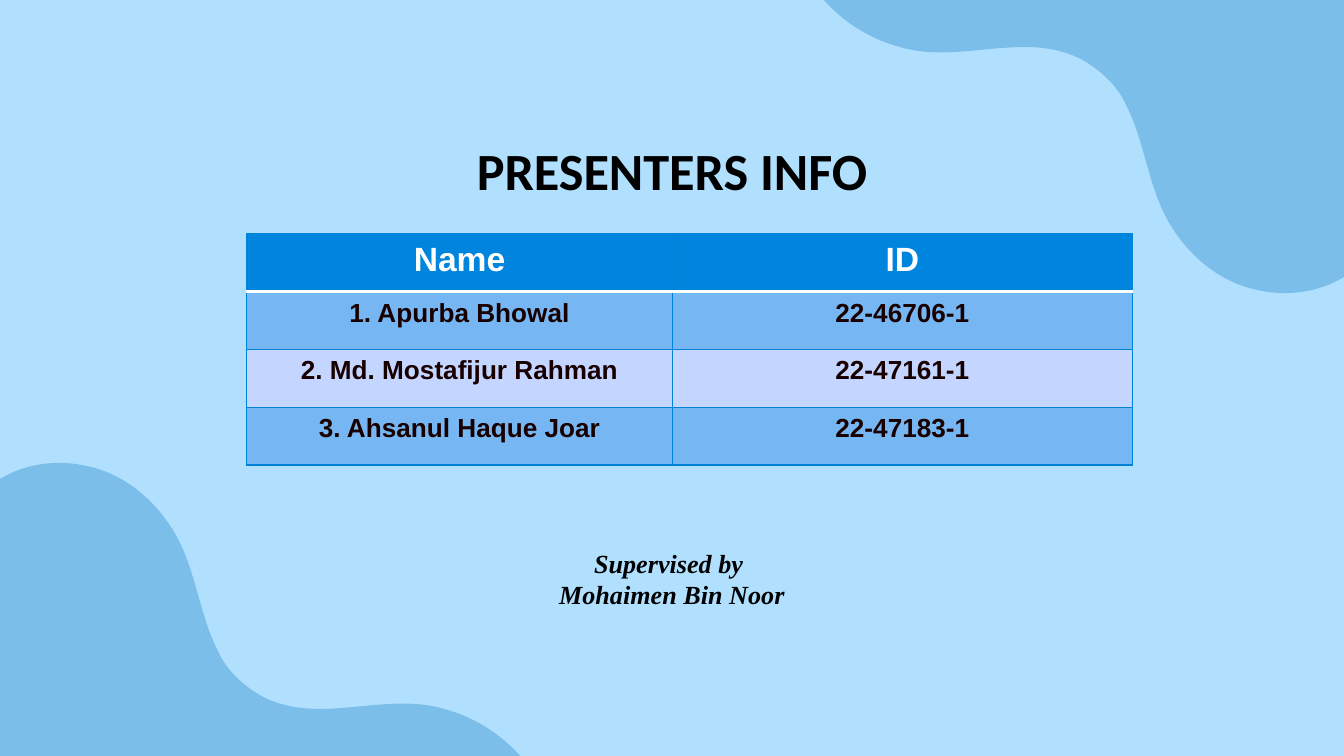
import pptx
import pptx.dml.color
import pptx.enum.text
import pptx.oxml.ns
import pptx.util
from lxml import etree

Cm = pptx.util.Cm
qn = pptx.oxml.ns.qn
SLIDE_WIDTH, SLIDE_HEIGHT = 25.4, 14.29
BLACK, WHITE = "000000", "FFFFFF"
BORDER = "0082D9"

# Wave outline in cm: a curve has two control points and an end point,
# a straight segment has its end point only.
WAVE_WIDTH, WAVE_HEIGHT = 13, 5.54
WAVE_START = (4.29, 0)
WAVE_SEGMENTS = [
    [(3.81, 0), (3.33, 0.15), (2.95, 0.46)],
    [(2.41, 0.86), (2.08, 1.45), (1.7, 1.98)],
    [(1.3, 2.57), (0.84, 3.07), (0.18, 3.43)],
    [(0.13, 3.45), (0.05, 3.48), (0, 3.51)],
    [(0, WAVE_HEIGHT)],
    [(WAVE_WIDTH, WAVE_HEIGHT)],
    [(12.62, 5.11), (12.12, 4.8), (11.56, 4.65)],
    [(11.3, 4.57), (11.02, 4.55), (10.77, 4.55)],
    [(10.26, 4.55), (9.75, 4.65), (9.22, 4.65)],
    [(9.22, 4.65), (9.2, 4.65), (9.17, 4.65)],
    [(8.79, 4.65), (8.38, 4.57), (8.05, 4.37)],
    [(7.72, 4.17), (7.44, 3.89), (7.29, 3.56)],
    [(6.93, 2.84), (6.88, 2.06), (6.5, 1.37)],
    [(6.15, 0.76), (5.59, 0.25), (4.9, 0.08)],
    [(4.7, 0.03), (4.5, 0), WAVE_START],
]

ROWS = [
    ("Name", "ID"),
    ("1. Apurba Bhowal", "22-46706-1"),
    ("2. Md. Mostafijur Rahman", "22-47161-1"),
    ("3. Ahsanul Haque Joar", "22-47183-1"),
]


def colour(value):
    return pptx.dml.color.RGBColor.from_string(value)


def paint(fill, value):
    fill.solid()
    fill.fore_color.rgb = colour(value)


def write(text_frame, text, font_name, size, text_colour, italic=False):
    """Write one bold, centred paragraph."""
    text_frame.word_wrap = True
    paragraph = text_frame.paragraphs[0]
    paragraph.text = text
    paragraph.alignment = pptx.enum.text.PP_ALIGN.CENTER
    font = paragraph.font
    font.name, font.size = font_name, pptx.util.Pt(size)
    font.bold, font.italic = True, italic
    font.color.rgb = colour(text_colour)


def place(shape, left, top, width, height):
    shape.left, shape.top = Cm(left), Cm(top)
    shape.width, shape.height = Cm(width), Cm(height)


def bend(shape, segments):
    """Turn the straight segments that have control points into curves."""
    lines = list(shape._element.iter(qn("a:lnTo")))
    for line, points in zip(lines, segments):
        if len(points) == 3:
            curve = etree.Element(qn("a:cubicBezTo"))
            for x, y in points:
                etree.SubElement(curve, qn("a:pt"), x=str(Cm(x)), y=str(Cm(y)))
            line.getparent().replace(line, curve)


def add_wave(slide, left, top, rotation=0):
    builder = slide.shapes.build_freeform(*map(Cm, WAVE_START))
    builder.add_line_segments(
        [tuple(map(Cm, points[-1])) for points in WAVE_SEGMENTS])
    wave = builder.convert_to_shape(Cm(left), Cm(top))
    bend(wave, WAVE_SEGMENTS)
    wave.rotation = rotation
    wave.shadow.inherit = False
    wave.line.fill.background()
    paint(wave.fill, "7CBEEA")


def add_border(cell, side, value, width):
    properties = cell._tc.get_or_add_tcPr()
    line = etree.SubElement(
        properties, qn(f"a:ln{side}"), w=str(pptx.util.Pt(width)))
    fill = etree.SubElement(line, qn("a:solidFill"))
    etree.SubElement(fill, qn("a:srgbClr"), val=value)


def add_presenters(slide, left, top, width, height):
    frame = slide.shapes.add_table(
        len(ROWS), 2, Cm(left), Cm(top), Cm(width), Cm(height))
    table = frame.table
    name_width = 0.481 * width
    table.columns[0].width = Cm(name_width)
    table.columns[1].width = Cm(width - name_width)
    for row, texts in enumerate(ROWS):
        for column, text in enumerate(texts):
            cell = table.cell(row, column)
            header_edge = {0: "B", 1: "T"}.get(row)
            for side in "LRTB":
                if side == header_edge:
                    add_border(cell, side, WHITE, 2)
                else:
                    add_border(cell, side, BORDER, 0.75)
            if row == 0:
                paint(cell.fill, "0085DE")
                write(cell.text_frame, text, "Arial", 18, WHITE)
            else:
                paint(cell.fill, "76B6F2" if row % 2 else "C4D6FF")
                write(cell.text_frame, text, "Arial", 14, "180000")


def add_title(slide, left, top, width, height):
    title = slide.shapes.title
    place(title, left, top, width, height)
    write(title.text_frame, "PRESENTERS INFO", "Calibri", 28, BLACK)
    title.text_frame.vertical_anchor = pptx.enum.text.MSO_ANCHOR.TOP
    title.text_frame.auto_size = pptx.enum.text.MSO_AUTO_SIZE.SHAPE_TO_FIT_TEXT


def add_supervisor(slide, left, top, width, height):
    box = slide.shapes.add_textbox(Cm(left), Cm(top), Cm(width), Cm(height))
    write(box.text_frame, "Supervised by \vMohaimen Bin Noor",
          "Times New Roman", 14, BLACK, italic=True)
    box.text_frame.auto_size = pptx.enum.text.MSO_AUTO_SIZE.SHAPE_TO_FIT_TEXT


def main():
    presentation = pptx.Presentation()
    presentation.slide_width = Cm(SLIDE_WIDTH)
    presentation.slide_height = Cm(SLIDE_HEIGHT)
    slide = presentation.slides.add_slide(presentation.slide_layouts[5])
    paint(slide.background.fill, "B1E0FF")

    overhang = 3.17
    add_wave(slide, -overhang, SLIDE_HEIGHT - WAVE_HEIGHT)
    add_wave(slide, SLIDE_WIDTH + overhang - WAVE_WIDTH, 0, rotation=180)
    add_presenters(slide, 4.66, 4.42, 16.74, 4.37)
    add_title(slide, 7, 2.48, 11.4, 1.45)
    add_supervisor(slide, 5.07, 10.22, 15.26, 1.45)
    presentation.save("out.pptx")


if __name__ == "__main__":
    main()
